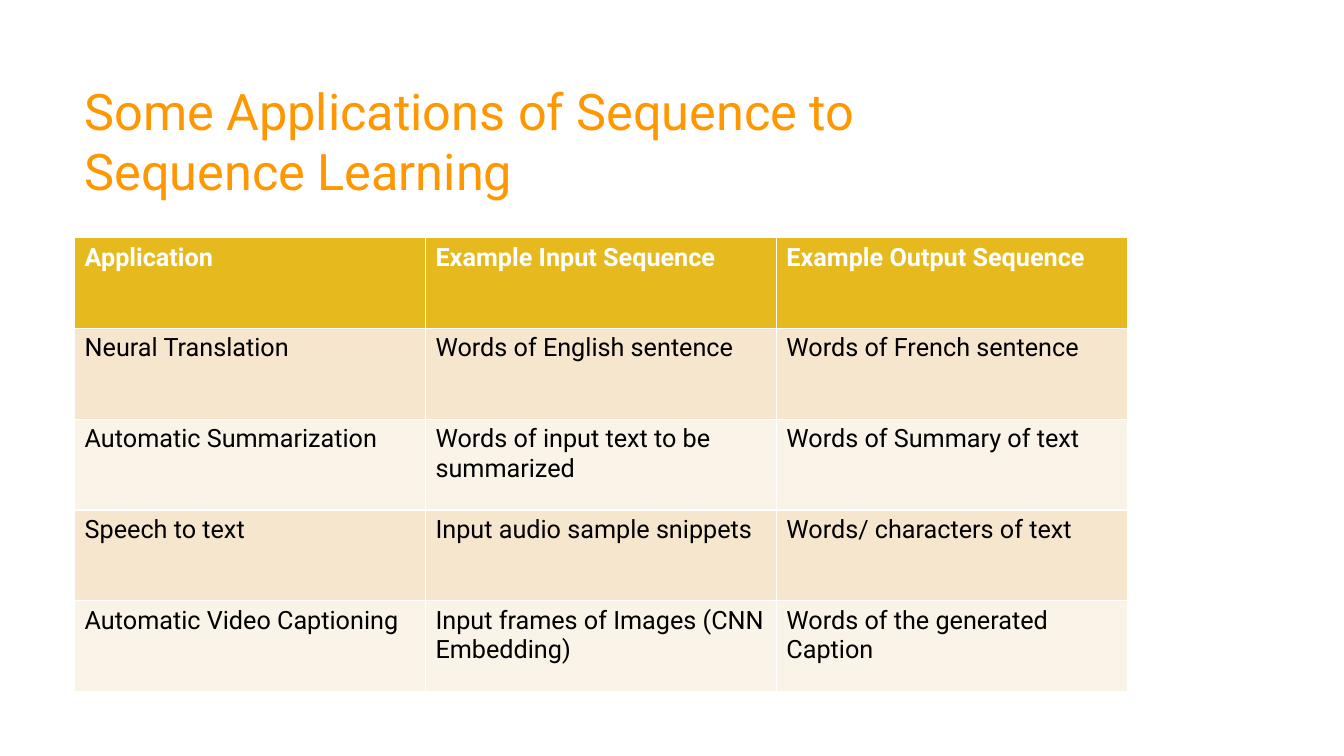
from pptx import Presentation
from pptx.dml.color import RGBColor
from pptx.enum import text
from pptx.util import Inches, Pt

TITLE = "Some Applications of Sequence to Sequence Learning"
APPLICATIONS = [
    ("Application", "Example Input Sequence", "Example Output Sequence"),
    ("Neural Translation", "Words of English sentence", "Words of French sentence"),
    ("Automatic Summarization", "Words of input text to be summarized", "Words of Summary of text"),
    ("Speech to text", "Input audio sample snippets", "Words/ characters of text"),
    ("Automatic Video Captioning", "Input frames of Images (CNN Embedding)",
     "Words of the generated Caption"),
]

FONT = "Roboto"
ORANGE = RGBColor(0xFF, 0x97, 0x00)
GOLD = RGBColor(0xE6, 0xB9, 0x1E)
SAND = RGBColor(0xF5, 0xE6, 0xCD)
CREAM = RGBColor(0xFA, 0xF3, 0xE8)
WHITE = RGBColor(0xFF, 0xFF, 0xFF)
BLACK = RGBColor(0, 0, 0)

LEFT = 0.74
COLUMN_WIDTH = 3.48
ROW_HEIGHT = 0.9


def write(frame, words, size, color, bold=False):
    frame.text = words
    font = frame.paragraphs[0].runs[0].font
    font.name = FONT
    font.size = Pt(size)
    font.bold = bold
    font.color.rgb = color


def main():
    deck = Presentation()
    deck.slide_width = Inches(13.33)
    deck.slide_height = Inches(7.5)
    slide = deck.slides.add_slide(deck.slide_layouts[6])

    title = slide.shapes.add_textbox(
        Inches(LEFT), Inches(0.67), Inches(9.4), Inches(1.44)).text_frame
    title.word_wrap = True
    title.vertical_anchor = text.MSO_ANCHOR.MIDDLE
    write(title, TITLE, 36, ORANGE)

    row_count, column_count = len(APPLICATIONS), len(APPLICATIONS[0])
    applications = slide.shapes.add_table(
        row_count, column_count, Inches(LEFT), Inches(2.36),
        Inches(COLUMN_WIDTH * column_count), Inches(ROW_HEIGHT * row_count)).table

    for r, entries in enumerate(APPLICATIONS):
        header = r == 0
        band = GOLD if header else SAND if r % 2 else CREAM
        for c, entry in enumerate(entries):
            cell = applications.cell(r, c)
            cell.fill.solid()
            cell.fill.fore_color.rgb = band
            write(cell.text_frame, entry, 18, WHITE if header else BLACK, header)

    deck.save("out.pptx")


if __name__ == "__main__":
    main()
